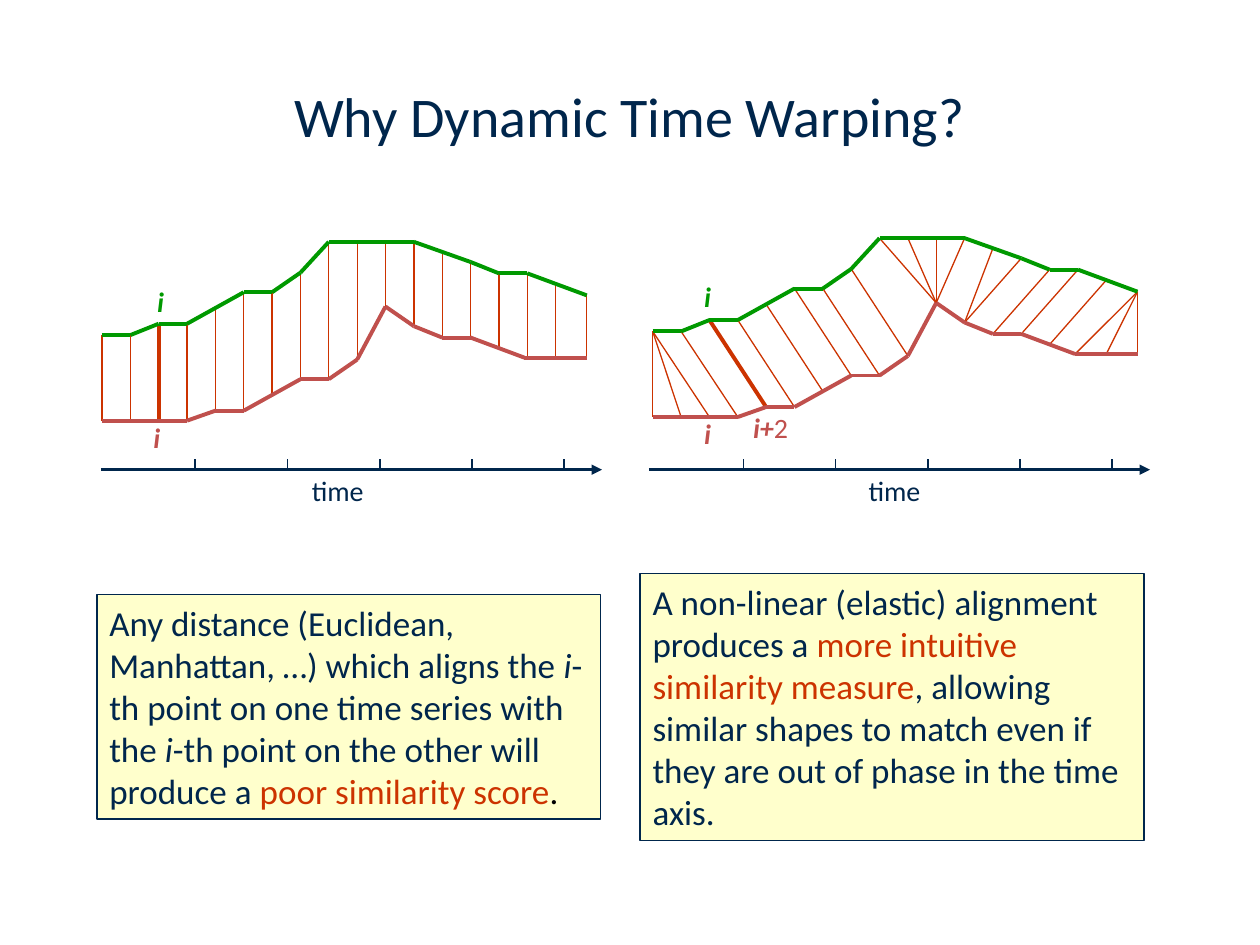
from dataclasses import dataclass

from lxml import etree
from pptx import Presentation
from pptx.dml.color import RGBColor
from pptx.enum.shapes import MSO_CONNECTOR, MSO_SHAPE
from pptx.enum.text import MSO_ANCHOR, MSO_AUTO_SIZE, PP_ALIGN
from pptx.oxml.ns import qn
from pptx.util import Pt

STRAIGHT, RECT = MSO_CONNECTOR.STRAIGHT, MSO_SHAPE.RECTANGLE
MIDDLE, CENTER, LEFT = MSO_ANCHOR.MIDDLE, PP_ALIGN.CENTER, PP_ALIGN.LEFT
NO_FIT, GROW = MSO_AUTO_SIZE.NONE, MSO_AUTO_SIZE.SHAPE_TO_FIT_TEXT
TITLE_ONLY = 5


@dataclass(frozen=True)
class Theme:
    font: str = "Calibri"
    navy: str = "00264C"
    green: str = "009900"
    red: str = "C0504D"
    accent: str = "CC3300"
    black: str = "000000"
    note: str = "FFFFCC"
    white: str = "FFFFFF"
    title_size: int = 32
    note_size: int = 20
    label_size: int = 16
    thick: float = 2.25
    thin: float = 0.75


T = Theme()

TITLE = "Why Dynamic Time Warping?"

# Vertices as (sample, drop below the top of the upper series)
STEP, LAST = 16.2, 17.1
UPPER = [(0, 53.3), (1, 53.3), (2, 46.8), (3, 46.8), (5, 28.8), (6, 28.8), (7, 17.6),
         (8, 0), (11, 0), (13, 11.5), (14, 18), (15, 18), (LAST, 30.6)]
LOWER = [(0, 102.2), (3, 102.2), (4, 96.5), (5, 96.5), (7, 78.5), (8, 78.5), (9, 67.3),
         (10, 37), (11, 48.2), (12, 54.7), (13, 54.7), (14.9, 66.2), (LAST, 66.2)]

# Ties as (sample on the upper series, sample on the lower series)
SAMPLES = [*range(17), LAST]
ALIGNED = [(n, n) for n in SAMPLES]
WARPED = ([(0, 0), (0, 1), (0, 2)] + [(n, n + 2) for n in range(1, 9)]
          + [(n, 10) for n in (9, 10, 11)] + [(12, 11)]
          + [(n, n - 2) for n in range(13, 17)]
          + [(LAST, 14.9), (LAST, 16), (LAST, LAST)])

# Runs: text, colour, bold, italic
I_UP = [("i", T.green, True, True)]
I_LOW = [("i", T.red, True, True)]
I_PLUS_2 = [("i+", T.red, True, True), ("2", T.red, False, False)]
TIME = [("time", T.navy, False, False)]


def plain(text, color=T.navy):
    return (text, color, False, False)


I_WORD = ("i", T.navy, False, True)

AXIS_Y, AXIS_LENGTH = 268.4, 286.4
TICK_START, TICK_GAP, TICKS, TICK_HEIGHT = 54, 52.7, 5, 6
LABEL_HEIGHT = 36

PANELS = [
    {
        "origin": (58.3, 138.2), "axis_x": 57.6, "ties": ALIGNED, "bold_tie": (2, 2),
        # Labels: centre x, centre y, width, runs
        "labels": [(91.8, 172.1, 10.8, I_UP), (89.6, 249.8, 10.8, I_LOW),
                   (193, 280.1, 21.6, TIME)],
        "note_box": (55.4, 339.8, 288, 128.2),
        "note": [plain("Any distance (Euclidean, Manhattan, …) which aligns the "), I_WORD,
                 plain("-th point on one time series with the "), I_WORD,
                 plain("-th point on the other will produce a "),
                 plain("poor similarity score", T.accent), plain(".", T.black)],
    },
    {
        "origin": (373, 136.1), "axis_x": 370.8, "ties": WARPED, "bold_tie": (2, 4),
        "labels": [(404.3, 169.2, 10.8, I_UP), (440.3, 244.1, 20.9, I_PLUS_2),
                   (404.3, 247.7, 10.8, I_LOW), (511.2, 280.1, 21.6, TIME)],
        "note_box": (365.8, 327.6, 288, 152.6),
        "note": [plain("A non-linear (elastic) alignment produces a "),
                 plain("more intuitive similarity measure", T.accent),
                 plain(", allowing similar shapes to match even if they are out of "
                       "phase in the time axis.")],
    },
]


def write(tf, runs, size, align):
    p = tf.paragraphs[0]
    p.alignment = align
    tf.vertical_anchor = MIDDLE
    for text, color, bold, italic in runs:
        r = p.add_run()
        r.text = text
        r.font.name, r.font.size = T.font, Pt(size)
        r.font.bold, r.font.italic = bold, italic
        r.font.color.rgb = RGBColor.from_string(color)


def add_box(shapes, box, fill, border=None):
    sp = shapes.add_shape(RECT, *map(Pt, box))
    sp.shadow.inherit = False
    sp.fill.solid()
    sp.fill.fore_color.rgb = RGBColor.from_string(fill)
    if border:
        sp.line.color.rgb = RGBColor.from_string(border)
        sp.line.width = Pt(T.thin)
    else:
        sp.line.fill.background()
    return sp


def add_line(shapes, start, end, color, width, arrow=False):
    line = shapes.add_connector(STRAIGHT, *map(Pt, (*start, *end)))
    line.line.color.rgb = RGBColor.from_string(color)
    line.line.width = Pt(width)
    if arrow:
        etree.SubElement(line.line._get_or_add_ln(), qn("a:tailEnd"), type="triangle")
    etree.SubElement(line._element.spPr, qn("a:effectLst"))


def point_at(series, sample, origin):
    """Slide position of a sample, interpolated between the series' vertices."""
    for (x0, y0), (x1, y1) in zip(series, series[1:]):
        if x0 <= sample <= x1:
            y = y0 + (y1 - y0) * (sample - x0) / (x1 - x0)
            return origin[0] + sample * STEP, origin[1] + y
    raise ValueError(sample)


def add_series(shapes, series, origin, color):
    group = shapes.add_group_shape().shapes
    points = [point_at(series, sample, origin) for sample, _ in series]
    for start, end in zip(points, points[1:]):
        add_line(group, start, end, color, T.thick)


def add_axis(shapes, left):
    group = shapes.add_group_shape().shapes
    add_line(group, (left, AXIS_Y), (left + AXIS_LENGTH, AXIS_Y), T.navy, 1.5, arrow=True)
    for n in range(TICKS):
        x = left + TICK_START + n * TICK_GAP
        add_line(group, (x, AXIS_Y - TICK_HEIGHT), (x, AXIS_Y), T.navy, 1)


def add_panel(shapes, panel):
    for x, y, width, runs in panel["labels"]:
        box = (x - width / 2, y - LABEL_HEIGHT / 2, width, LABEL_HEIGHT)
        tf = add_box(shapes, box, T.white).text_frame
        tf.word_wrap = False
        write(tf, runs, T.label_size, CENTER)

    tf = add_box(shapes, panel["note_box"], T.note, T.navy).text_frame
    tf.word_wrap = True
    tf.auto_size = GROW
    write(tf, panel["note"], T.note_size, LEFT)

    add_axis(shapes, panel["axis_x"])
    origin = panel["origin"]
    for tie in panel["ties"]:
        width = T.thick if tie == panel["bold_tie"] else T.thin
        add_line(shapes, point_at(UPPER, tie[0], origin), point_at(LOWER, tie[1], origin),
                 T.accent, width)
    add_series(shapes, UPPER, origin, T.green)
    add_series(shapes, LOWER, origin, T.red)


def main():
    prs = Presentation()
    prs.slide_width, prs.slide_height = Pt(720), Pt(540)
    s = prs.slides.add_slide(prs.slide_layouts[TITLE_ONLY])

    title = s.shapes.title
    title.left, title.top, title.width, title.height = map(Pt, (41.8, 36, 635.8, 59.8))
    title.text_frame.auto_size = NO_FIT
    write(title.text_frame, [plain(TITLE)], T.title_size, CENTER)

    for panel in PANELS:
        add_panel(s.shapes, panel)
    prs.save("out.pptx")


if __name__ == "__main__":
    main()
